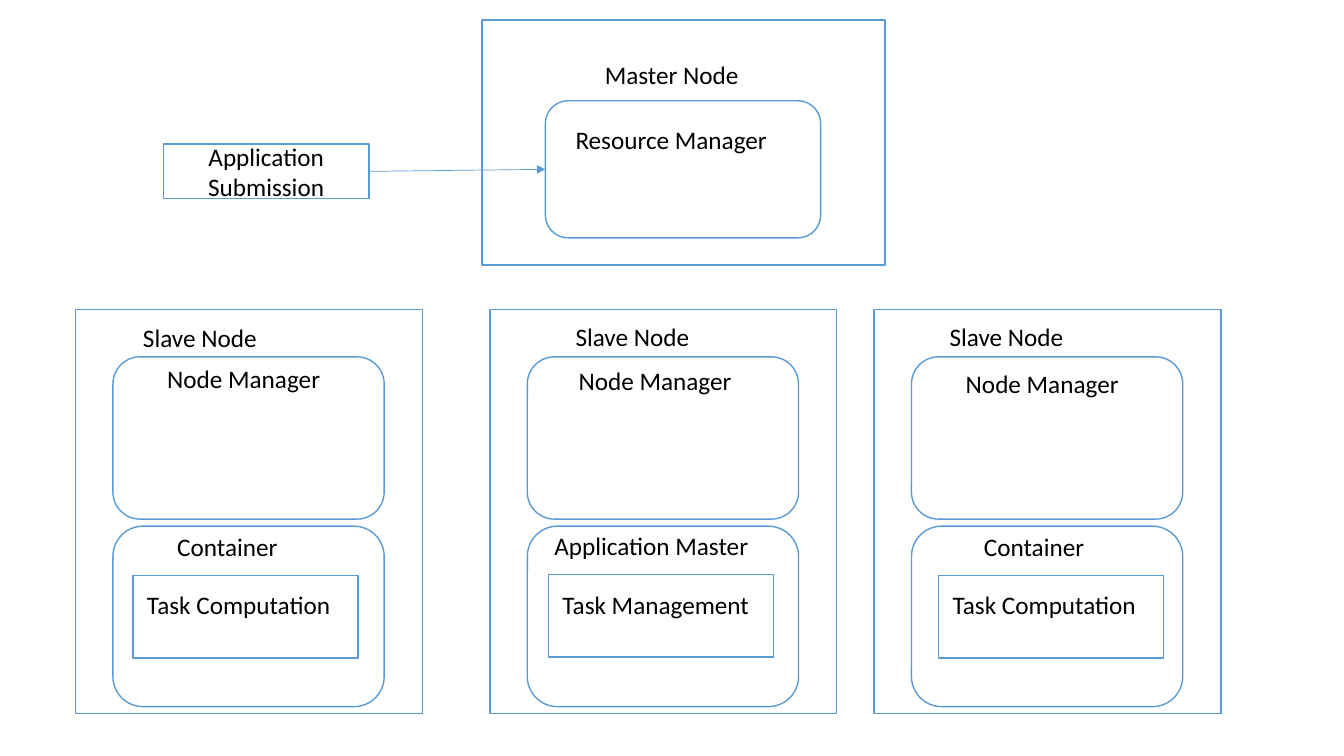
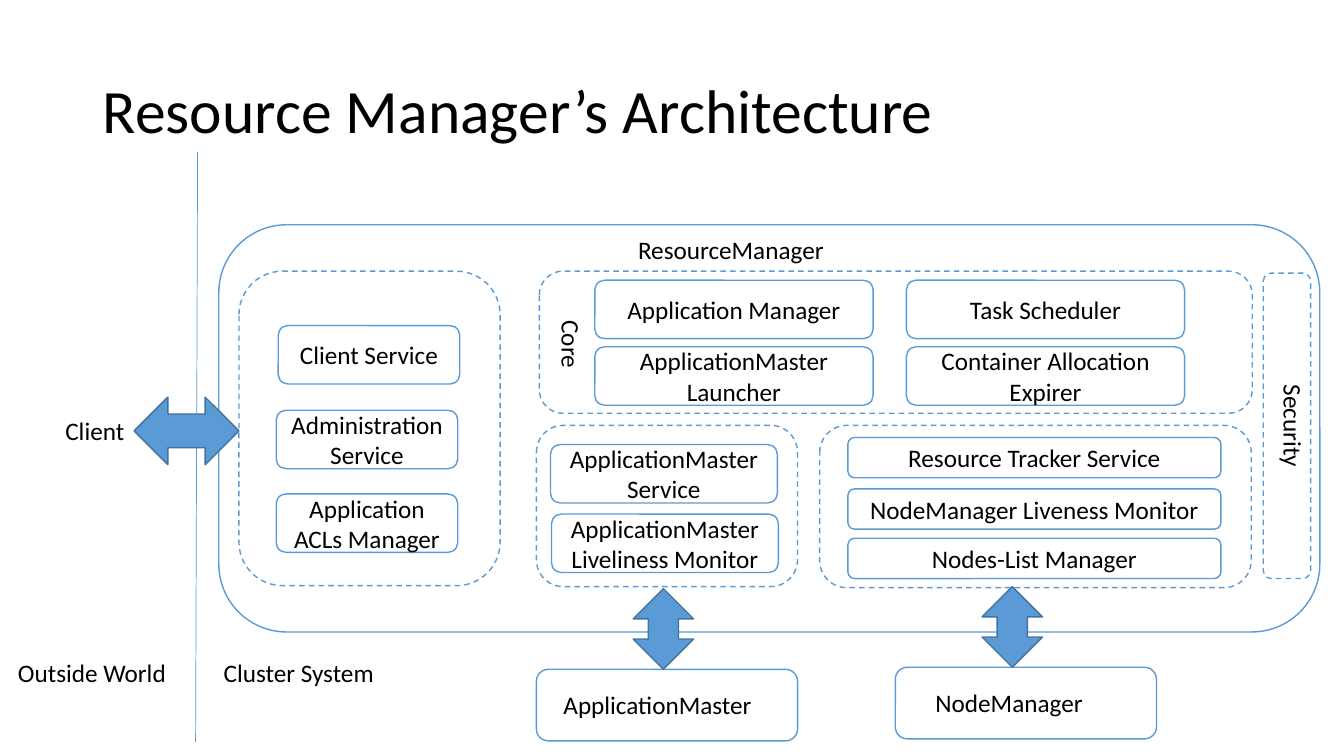
import dataclasses

import pptx
import pptx.dml.color
import pptx.enum.dml
import pptx.enum.shapes
import pptx.enum.text
import pptx.oxml.ns
import pptx.util

Inches = pptx.util.Inches
Pt = pptx.util.Pt
Shape = pptx.enum.shapes.MSO_SHAPE
Anchor = pptx.enum.text.MSO_ANCHOR
Align = pptx.enum.text.PP_ALIGN
qn = pptx.oxml.ns.qn


def rgb(code):
    return pptx.dml.color.RGBColor.from_string(code)


@dataclasses.dataclass(frozen=True)
class Theme:
    font: str = "Calibri"
    title_size: int = 44
    text_size: int = 18
    ink: str = "000000"
    paper: str = "FFFFFF"
    accent: str = "5B9BD5"
    accent_dark: str = "43739E"
    outline: float = 1
    hairline: float = 0.5


THEME = Theme()


@dataclasses.dataclass(frozen=True)
class WorkerNode:
    """One worker column; each *_at is the left and top of that part."""
    left: float
    heading_at: tuple
    manager_at: tuple
    process: str
    process_at: tuple
    task: str
    task_at: tuple


WORKERS = (
    WorkerNode(0.75, (1.32, 3.15), (1.56, 3.56),
               "Container", (1.66, 5.22), "Task Computation", (1.32, 5.71)),
    WorkerNode(4.86, (5.61, 3.14), (5.64, 3.58),
               "Application Master", (5.4, 5.21), "Task Management", (5.44, 5.7)),
    WorkerNode(8.67, (9.32, 3.14), (9.48, 3.6),
               "Container", (9.66, 5.22), "Task Computation", (9.31, 5.71)),
)


def write(paragraph, text, size=THEME.text_size):
    run = paragraph.add_run()
    run.text = text
    run.font.name = THEME.font
    run.font.size = Pt(size)
    run.font.color.rgb = rgb(THEME.ink)


def add_box(slide, kind, left, top, width, height, text="", dashed=False,
            fill=THEME.paper, line=THEME.accent):
    box = slide.shapes.add_shape(
        kind, Inches(left), Inches(top), Inches(width), Inches(height))
    box.shadow.inherit = False
    box.fill.solid()
    box.fill.fore_color.rgb = rgb(fill)
    box.line.color.rgb = rgb(line)
    box.line.width = Pt(THEME.outline)
    if dashed:
        box.line.dash_style = pptx.enum.dml.MSO_LINE.DASH
    if text:
        frame = box.text_frame
        frame.word_wrap = True
        frame.vertical_anchor = Anchor.MIDDLE
        frame.paragraphs[0].alignment = Align.CENTER
        write(frame.paragraphs[0], text)
    return box


def add_block_arrow(slide, kind, left, top, width, height):
    add_box(slide, kind, left, top, width, height,
            fill=THEME.accent, line=THEME.accent_dark)


def add_label(slide, text, left, top, width, height=0.4, vertical=False):
    label = slide.shapes.add_textbox(
        Inches(left), Inches(top), Inches(width), Inches(height))
    frame = label.text_frame
    frame.word_wrap = True
    if vertical:
        frame._txBody.find(qn("a:bodyPr")).set("vert", "eaVert")
    write(frame.paragraphs[0], text)


def add_line(slide, start, end, arrow=False):
    connector = slide.shapes.add_connector(
        pptx.enum.shapes.MSO_CONNECTOR.STRAIGHT,
        *(Inches(value) for value in start + end))
    connector.line.color.rgb = rgb(THEME.accent)
    connector.line.width = Pt(THEME.hairline)
    properties = connector._element.spPr
    if arrow:
        outline = properties.find(qn("a:ln"))
        outline.append(outline.makeelement(qn("a:tailEnd"), {"type": "triangle"}))
    properties.append(properties.makeelement(qn("a:effectLst"), {}))
    return connector


def add_title(slide, text):
    title = slide.shapes.title
    title.left, title.top = Inches(0.92), Inches(0.4)
    title.width, title.height = Inches(11.5), Inches(1.45)
    frame = title.text_frame
    frame.auto_size = pptx.enum.text.MSO_AUTO_SIZE.NONE
    frame.vertical_anchor = Anchor.MIDDLE
    paragraph = frame.paragraphs[0]
    paragraph.alignment = Align.LEFT
    paragraph.line_spacing = 0.9
    write(paragraph, text, THEME.title_size)


def add_worker(slide, worker):
    inner = worker.left + 0.37
    add_box(slide, Shape.RECTANGLE, worker.left, 3.07, 3.44, 4.01)
    add_box(slide, Shape.ROUNDED_RECTANGLE, inner, 3.54, 2.69, 1.61)
    add_box(slide, Shape.ROUNDED_RECTANGLE, inner, 5.22, 2.69, 1.79)
    add_label(slide, "Slave Node", *worker.heading_at, 2.14)
    add_label(slide, "Node Manager", *worker.manager_at, 1.81)
    add_label(slide, worker.process, *worker.process_at, 2.53)
    task_left, task_top = worker.task_at
    add_box(slide, Shape.RECTANGLE, task_left, task_top, 2.23, 0.82)
    add_label(slide, worker.task, task_left + 0.04, 5.8, 2.14)


def build_cluster(slide):
    add_box(slide, Shape.RECTANGLE, 4.78, 0.2, 4, 2.43)
    manager = add_box(slide, Shape.ROUNDED_RECTANGLE, 5.41, 1, 2.73, 1.36)
    add_label(slide, "Master Node", 5.9, 0.54, 1.76)
    add_label(slide, "Resource Manager", 5.61, 1.18, 2.33)
    submission = add_box(slide, Shape.RECTANGLE, 1.62, 1.43, 2.04, 0.54,
                         "Application Submission")
    request = add_line(slide, (3.66, 1.7), (5.41, 1.68), arrow=True)
    request.begin_connect(submission, 3)
    request.end_connect(manager, 1)
    for worker in WORKERS:
        add_worker(slide, worker)


def add_services(slide, services, width, height):
    for text, left, top in services:
        add_box(slide, Shape.ROUNDED_RECTANGLE, left, top, width, height, text)


def add_group(slide, left, top, width, height):
    add_box(slide, Shape.ROUNDED_RECTANGLE, left, top, width, height, dashed=True)


def build_architecture(slide):
    add_title(slide, "Resource Manager’s Architecture")
    add_box(slide, Shape.ROUNDED_RECTANGLE, 2.17, 2.23, 10.92, 4.04)
    add_label(slide, "ResourceManager", 6.23, 2.28, 3.13)

    add_line(slide, (1.96, 1.51), (1.94, 7.36))
    add_label(slide, "Outside World", 0.08, 6.47, 1.84)
    add_label(slide, "Cluster System", 2.12, 6.47, 2.64)

    add_group(slide, 2.37, 2.69, 2.59, 3.12)
    add_services(slide, (("Client Service", 2.76, 3.23),
                         ("Administration Service", 2.74, 4.07),
                         ("Application ACLs Manager", 2.74, 4.9)), 1.8, 0.58)
    add_label(slide, "Client", 0.55, 4.07, 0.96)
    add_block_arrow(slide, Shape.LEFT_RIGHT_ARROW, 1.33, 3.94, 1.04, 0.67)

    add_group(slide, 5.32, 4.22, 2.59, 1.6)
    add_services(slide, (("ApplicationMaster Service", 5.46, 4.41),
                         ("ApplicationMaster Liveliness Monitor", 5.47, 5.1)),
                 2.25, 0.58)
    add_group(slide, 8.13, 4.22, 4.28, 1.61)
    add_services(slide, (("Resource Tracker Service", 8.41, 4.34),
                         ("NodeManager Liveness Monitor", 8.41, 4.85),
                         ("Nodes-List Manager", 8.41, 5.34)), 3.7, 0.4)

    for text, left, top, label_left, arrow_left in (
            ("ApplicationMaster", 5.32, 6.64, 5.49, 6.28),
            ("NodeManager", 8.88, 6.62, 9.18, 9.74)):
        add_box(slide, Shape.ROUNDED_RECTANGLE, left, top, 2.59, 0.71)
        add_label(slide, text, label_left, top + 0.15, 2.33)
        add_block_arrow(slide, Shape.UP_DOWN_ARROW, arrow_left, top - 0.8, 0.6, 0.8)

    add_group(slide, 5.35, 2.69, 7.07, 1.41)
    add_services(slide, (("Application Manager", 5.9, 2.78),
                         ("ApplicationMaster Launcher", 5.9, 3.44),
                         ("Task Scheduler", 8.99, 2.78),
                         ("Container Allocation Expirer", 8.99, 3.44)), 2.76, 0.58)
    add_label(slide, "Core", 5.37, 3.08, 0.5, 0.74, vertical=True)
    add_group(slide, 12.53, 2.71, 0.47, 3.03)
    add_label(slide, "Security", 12.53, 3.72, 0.5, 2.4, vertical=True)


def main():
    deck = pptx.Presentation()
    deck.slide_width, deck.slide_height = Inches(13.33), Inches(7.5)
    title_only, blank = deck.slide_layouts[5], deck.slide_layouts[6]
    build_cluster(deck.slides.add_slide(blank))
    build_architecture(deck.slides.add_slide(title_only))
    deck.save("out.pptx")


if __name__ == "__main__":
    main()
